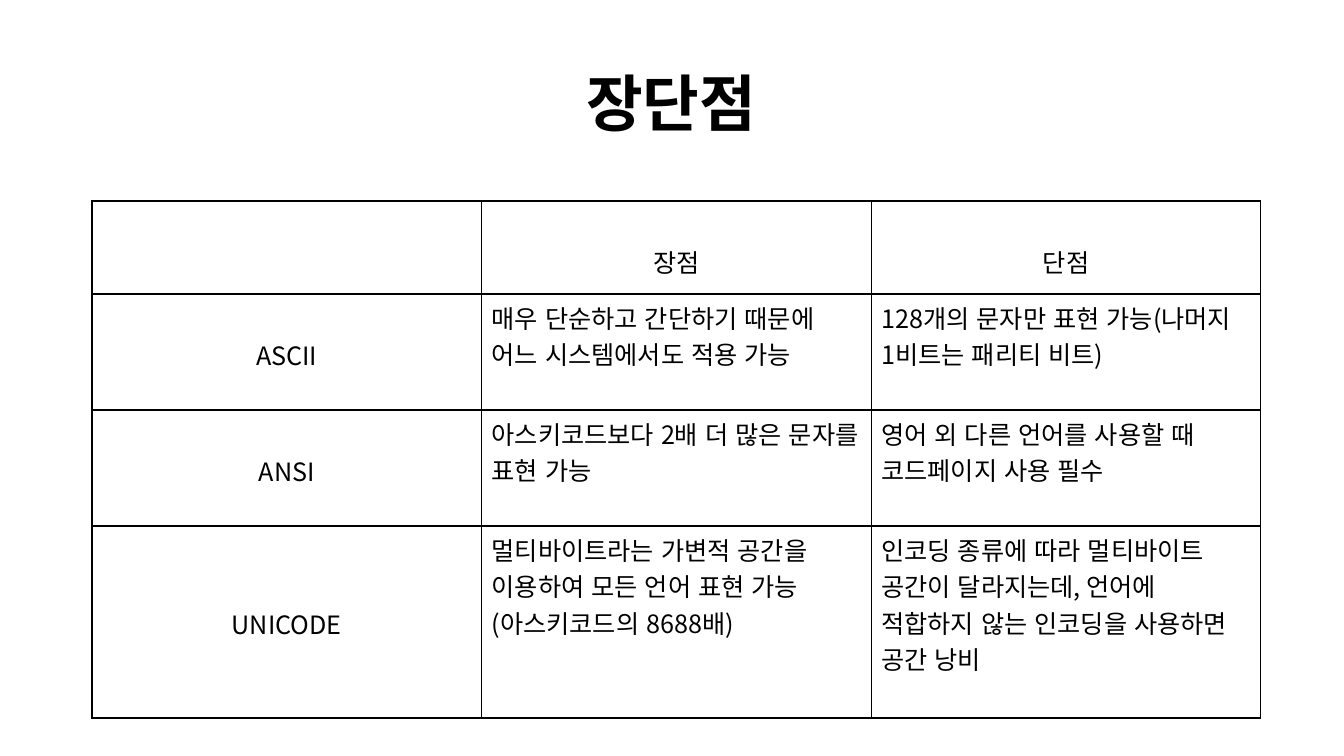
"""Build a slide comparing the strengths and weaknesses of character encodings."""
import pptx
import pptx.dml.color
import pptx.enum.lang
import pptx.enum.text
import pptx.oxml
import pptx.oxml.ns
import pptx.util

TITLE = "장단점"
HEADINGS = ["", "장점", "단점"]
ENCODINGS = [
    ("ASCII", "매우 단순하고 간단하기 때문에 어느 시스템에서도 적용 가능",
     "128개의 문자만 표현 가능(나머지 1비트는 패리티 비트)"),
    ("ANSI", "아스키코드보다 2배 더 많은 문자를 표현 가능",
     "영어 외 다른 언어를 사용할 때 코드페이지 사용 필수"),
    ("UNICODE", "멀티바이트라는 가변적 공간을 이용하여 모든 언어 표현 가능(아스키코드의 8688배)",
     "인코딩 종류에 따라 멀티바이트 공간이 달라지는데, 언어에 적합하지 않는 인코딩을 사용하면 공간 낭비"),
]
COLORS = {"ink": "000000", "paper": "FFFFFF"}
TITLE_FONT, TABLE_FONT = "Arial", "Noto Sans CJK KR"
PAGE_SIZE = (1344, 756)
TITLE_BOX = (92, 33, 1159, 146)
TABLE_LEFT, TABLE_TOP, TABLE_WIDTH = 92, 201, 1169
ROW_HEIGHTS = [93, 116, 116, 192]
LABEL_LINES_ABOVE = [1, 1, 1, 2]
CELL_PADDING, LINE_HEIGHT = 5, 37
BORDER_WIDTH = pptx.util.Pt(1)


def px(length):
    return round(length * 914400 / 100.8)


def rgb(name):
    return pptx.dml.color.RGBColor.from_string(COLORS[name])


def write(frame, text, *, font, size, bold=False, centered=False, spacing=None):
    frame.word_wrap = True
    para = frame.paragraphs[0]
    align = pptx.enum.text.PP_ALIGN
    para.alignment = align.CENTER if centered else align.LEFT
    para.line_spacing = spacing
    span = para.add_run()
    span.text = text
    span.font.size = pptx.util.Pt(size)
    span.font.bold = bold
    span.font.color.rgb = rgb("ink")
    span.font.name = font
    span.font.language_id = pptx.enum.lang.MSO_LANGUAGE_ID.KOREAN
    latin = span.font._element.find(pptx.oxml.ns.qn("a:latin"))
    latin.addnext(pptx.oxml.parse_xml(
        f'<a:ea {pptx.oxml.ns.nsdecls("a")} typeface="{font}"/>'))


def add_borders(cell):
    properties = cell._tc.get_or_add_tcPr()
    for position, side in enumerate(("lnL", "lnR", "lnT", "lnB")):
        properties.insert(position, pptx.oxml.parse_xml(
            f'<a:{side} {pptx.oxml.ns.nsdecls("a")} w="{BORDER_WIDTH}"><a:solidFill>'
            f'<a:srgbClr val="{COLORS["ink"]}"/></a:solidFill></a:{side}>'))


def add_title(page):
    box = page.shapes.add_textbox(*map(px, TITLE_BOX))
    box.text_frame.vertical_anchor = pptx.enum.text.MSO_ANCHOR.MIDDLE
    write(box.text_frame, TITLE, font=TITLE_FONT, size=44, bold=True,
          centered=True, spacing=0.9)


def add_comparison(page):
    rows = [HEADINGS, *ENCODINGS]
    table = page.shapes.add_table(
        len(rows), len(HEADINGS), px(TABLE_LEFT), px(TABLE_TOP),
        px(TABLE_WIDTH), px(sum(ROW_HEIGHTS))).table
    table.first_row = table.horz_banding = False
    for column in table.columns:
        column.width = px(TABLE_WIDTH / len(HEADINGS))
    for row_index, texts in enumerate(rows):
        table.rows[row_index].height = px(ROW_HEIGHTS[row_index])
        for column_index, text in enumerate(texts):
            cell = table.cell(row_index, column_index)
            cell.fill.solid()
            cell.fill.fore_color.rgb = rgb("paper")
            add_borders(cell)
            is_label = row_index == 0 or column_index == 0
            lines_above = LABEL_LINES_ABOVE[row_index] if is_label else 0
            cell.margin_top = px(CELL_PADDING + lines_above * LINE_HEIGHT)
            cell.margin_bottom = px(CELL_PADDING)
            if text:
                write(cell.text_frame, text, font=TABLE_FONT, size=18,
                      centered=is_label)


def main():
    deck = pptx.Presentation()
    deck.slide_width, deck.slide_height = map(px, PAGE_SIZE)
    page = deck.slides.add_slide(deck.slide_layouts[6])
    add_title(page)
    add_comparison(page)
    deck.save("out.pptx")


if __name__ == "__main__":
    main()
